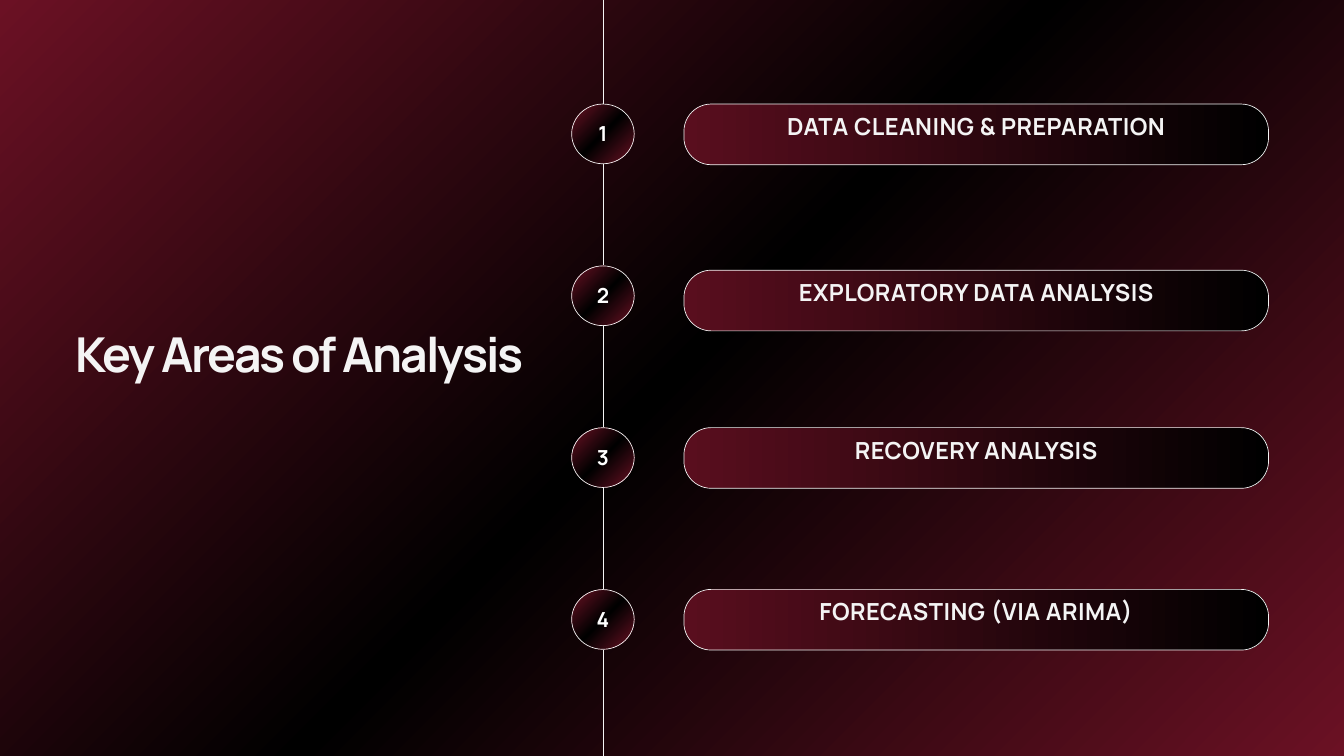
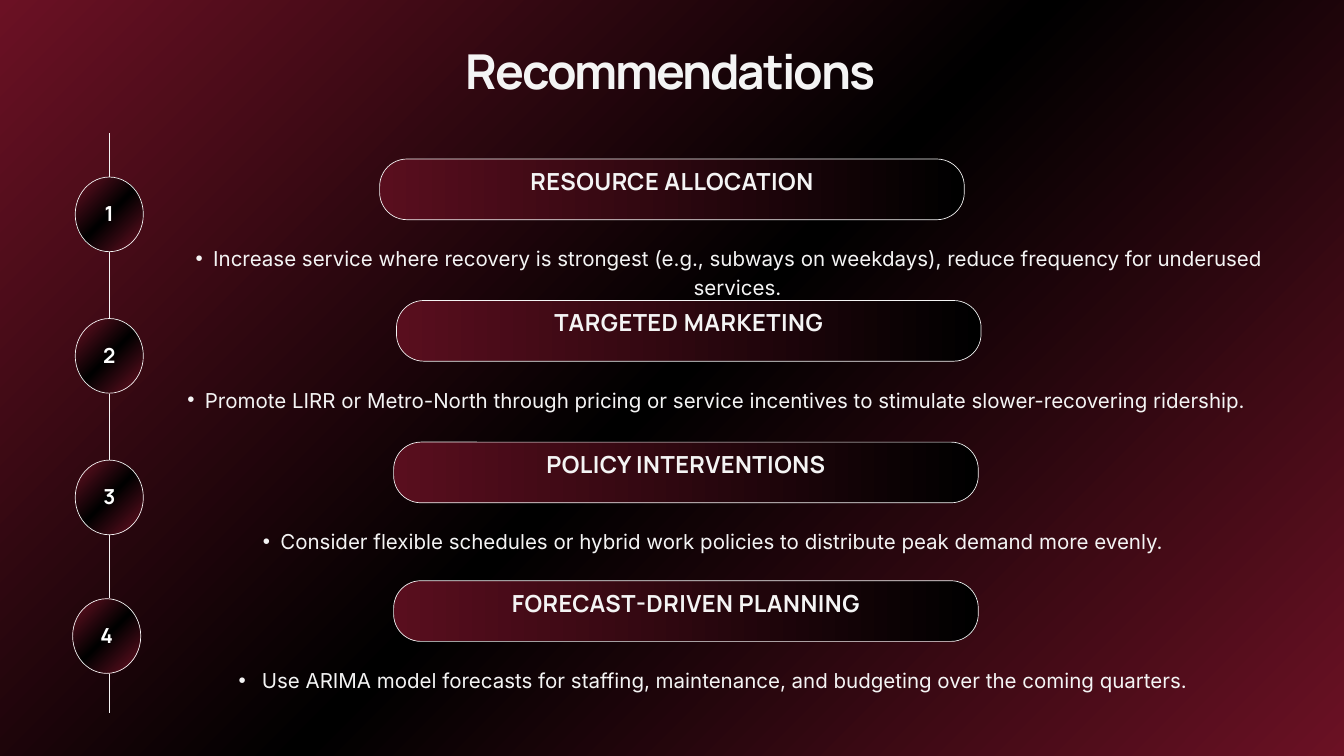
import dataclasses

import lxml.etree
import pptx
import pptx.dml.color
import pptx.enum.shapes
import pptx.enum.text
import pptx.oxml.ns
import pptx.util

Pt = pptx.util.Pt
Align = pptx.enum.text.PP_ALIGN
Anchor = pptx.enum.text.MSO_ANCHOR
Shapes = pptx.enum.shapes.MSO_SHAPE


@dataclasses.dataclass(frozen=True)
class Theme:
    width: float = 1440
    height: float = 810
    light: str = "F4F4F4"
    white: str = "FFFFFF"
    glow: tuple = ("6B1124", "000000", "6B1124")
    fade: tuple = ("590E1E", "000000")
    heading_font: str = "Manrope"
    body_font: str = "Inter"
    title_size: float = 51.5
    pill_size: float = 25.2
    badge_size: float = 22.2
    body_size: float = 22
    outline: float = 0.75
    pill_width: float = 626.4
    pill_height: float = 65


THEME = Theme()


def points(*lengths):
    return [Pt(length) for length in lengths]


def rgb(value):
    return pptx.dml.color.RGBColor.from_string(value)


def add_element(parent, tag, **attributes):
    return lxml.etree.SubElement(parent, pptx.oxml.ns.qn(tag), attributes)


def set_gradient(fill, element, colors, angle):
    """Fill with evenly spaced colours; the angle runs counter-clockwise."""
    fill.gradient()
    fill.gradient_angle = angle
    stops = element.find(".//" + pptx.oxml.ns.qn("a:gsLst"))
    for stop in list(stops):
        stops.remove(stop)
    for index, color in enumerate(colors):
        position = round(100000 * index / (len(colors) - 1))
        stop = add_element(stops, "a:gs", pos=str(position))
        add_element(stop, "a:srgbClr", val=color)


def add_text(slide, box, text, *, size, leading, font=THEME.heading_font,
             color=THEME.light, bold=True, spacing=0.0, align=Align.CENTER,
             anchor=Anchor.TOP, inset=0.0, bullet=False):
    text_box = slide.shapes.add_textbox(*points(*box))
    frame = text_box.text_frame
    frame.word_wrap = True
    frame.vertical_anchor = anchor
    frame.margin_left = frame.margin_right = Pt(inset)
    frame.margin_top = frame.margin_bottom = Pt(inset)
    paragraph = frame.paragraphs[0]
    paragraph.alignment = align
    paragraph.line_spacing = Pt(leading)
    run = paragraph.add_run()
    run.text = text
    run.font.name = font
    run.font.size = Pt(size)
    run.font.bold = bold
    run.font.color.rgb = rgb(color)
    if spacing:
        run.font._element.set("spc", str(round(spacing * 100)))
    if bullet:
        paragraph.level = 1
        properties = paragraph._p.get_or_add_pPr()
        properties.set("marL", str(Pt(37.4)))
        properties.set("indent", str(-Pt(18.7)))
        add_element(properties, "a:buFont", typeface="Arial")
        add_element(properties, "a:buChar", char="•")


def add_outlined_shape(slide, kind, box, colors, angle):
    shape = slide.shapes.add_shape(kind, *points(*box))
    shape.shadow.inherit = False
    set_gradient(shape.fill, shape._element, colors, angle)
    shape.line.color.rgb = rgb(THEME.light)
    shape.line.width = Pt(THEME.outline)
    return shape


def add_title(slide, box, text):
    add_text(slide, box, text, size=THEME.title_size, leading=48.9,
             spacing=-2.2, align=Align.LEFT)


def add_timeline(slide, x, top, bottom):
    connector = slide.shapes.add_connector(
        pptx.enum.shapes.MSO_CONNECTOR.STRAIGHT, *points(x, top, x, bottom))
    connector.line.color.rgb = rgb(THEME.light)
    connector.line.width = Pt(THEME.outline)
    add_element(connector._element.spPr, "a:effectLst")


def add_badge(slide, box, number):
    left, top, width, height = box
    add_outlined_shape(slide, Shapes.OVAL, box, THEME.glow, 315)
    label = (left + 0.095 * width, top + 0.02 * height, 0.81 * width, 0.88 * height)
    add_text(slide, label, str(number), size=THEME.badge_size, leading=31.1,
             color=THEME.white, spacing=0.5, anchor=Anchor.MIDDLE, inset=4)


def add_pill(slide, left, top, text):
    """Draw a heading pill whose label sits a little above its middle."""
    box = (left, top, THEME.pill_width, THEME.pill_height)
    pill = add_outlined_shape(slide, Shapes.ROUNDED_RECTANGLE, box, THEME.fade, 0)
    pill.adjustments[0] = 0.45
    rise = 22.8
    label = (left, top - rise, THEME.pill_width, THEME.pill_height + rise)
    add_text(slide, label, text, size=THEME.pill_size, leading=35.3,
             spacing=0.5, anchor=Anchor.MIDDLE, inset=4)


def add_slide(presentation):
    slide = presentation.slides.add_slide(presentation.slide_layouts[6])
    set_gradient(slide.background.fill, slide._element, THEME.glow, 315)
    return slide


def build_key_areas(presentation):
    slide = add_slide(presentation)
    add_timeline(slide, 646, 0, THEME.height)
    areas = (
        ("DATA CLEANING & PREPARATION", 111.5),
        ("EXPLORATORY DATA ANALYSIS", 289.5),
        ("RECOVERY ANALYSIS", 458.2),
        ("FORECASTING (VIA ARIMA)", 631.5),
    )
    first_badge, pitch = 111.5, 173.4
    for index, (area, pill_top) in enumerate(areas):
        add_pill(slide, 732.8, pill_top, area)
        add_badge(slide, (612.5, first_badge + index * pitch, 67, 64), index + 1)
    add_title(slide, (80.6, 360.7, 511, 54.7), "Key Areas of Analysis")


def add_recommendation(slide, top, number, heading, advice, badge_left,
                       pill_left, advice_left, advice_width):
    """Place one step; top is the upper edge of its badge."""
    add_badge(slide, (badge_left, top, 73, 80), number)
    add_pill(slide, pill_left, top - 19.3, heading)
    add_text(slide, (advice_left, top + 69.5, advice_width, 29.5), advice,
             size=THEME.body_size, leading=30.8, font=THEME.body_font,
             bold=False, bullet=True)


def build_recommendations(presentation):
    slide = add_slide(presentation)
    add_timeline(slide, 117.4, 142.6, 764)
    add_title(slide, (499, 56.9, 471.6, 54.7), "Recommendations")
    steps = (
        (189.7, "RESOURCE ALLOCATION",
         "Increase service where recovery is strongest (e.g., subways on weekdays), "
         "reduce frequency for underused services.",
         80.6, 406.8, 150.5, 1242),
        (341.3, "TARGETED MARKETING",
         "Promote LIRR or Metro-North through pricing or service incentives "
         "to stimulate slower-recovering ridership.",
         80.6, 424.8, 154, 1208),
        (493, "POLICY INTERVENTIONS",
         "Consider flexible schedules or hybrid work policies "
         "to distribute peak demand more evenly.",
         80.6, 421.8, 150.5, 1208),
        (641.5, "FORECAST-DRIVEN PLANNING",
         " Use ARIMA model forecasts for staffing, maintenance, "
         "and budgeting over the coming quarters.",
         77.8, 421.8, 150.5, 1208),
    )
    for number, (top, *details) in enumerate(steps, start=1):
        add_recommendation(slide, top, number, *details)


def main():
    presentation = pptx.Presentation()
    presentation.slide_width, presentation.slide_height = points(THEME.width, THEME.height)
    build_key_areas(presentation)
    build_recommendations(presentation)
    presentation.save("out.pptx")


if __name__ == "__main__":
    main()
